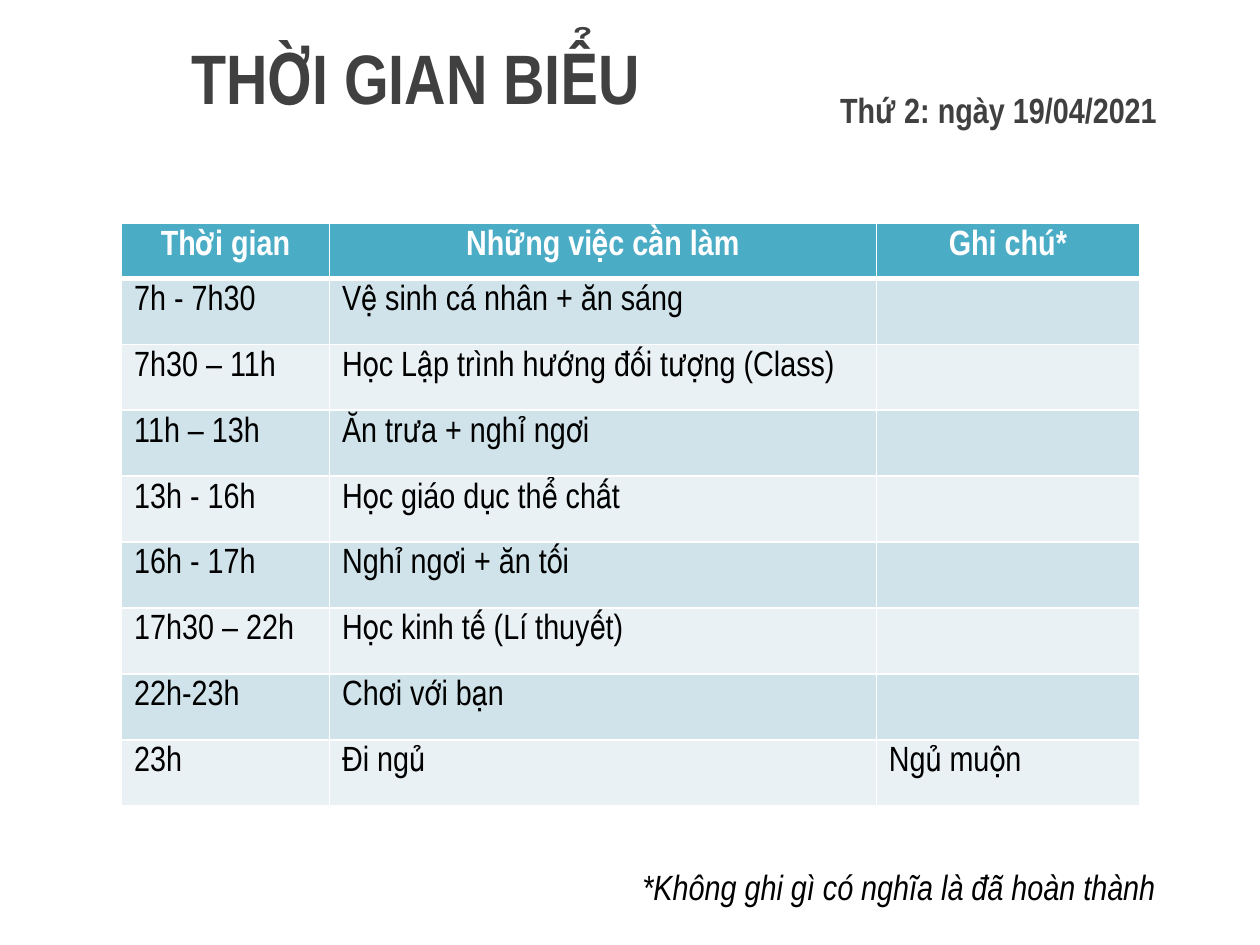
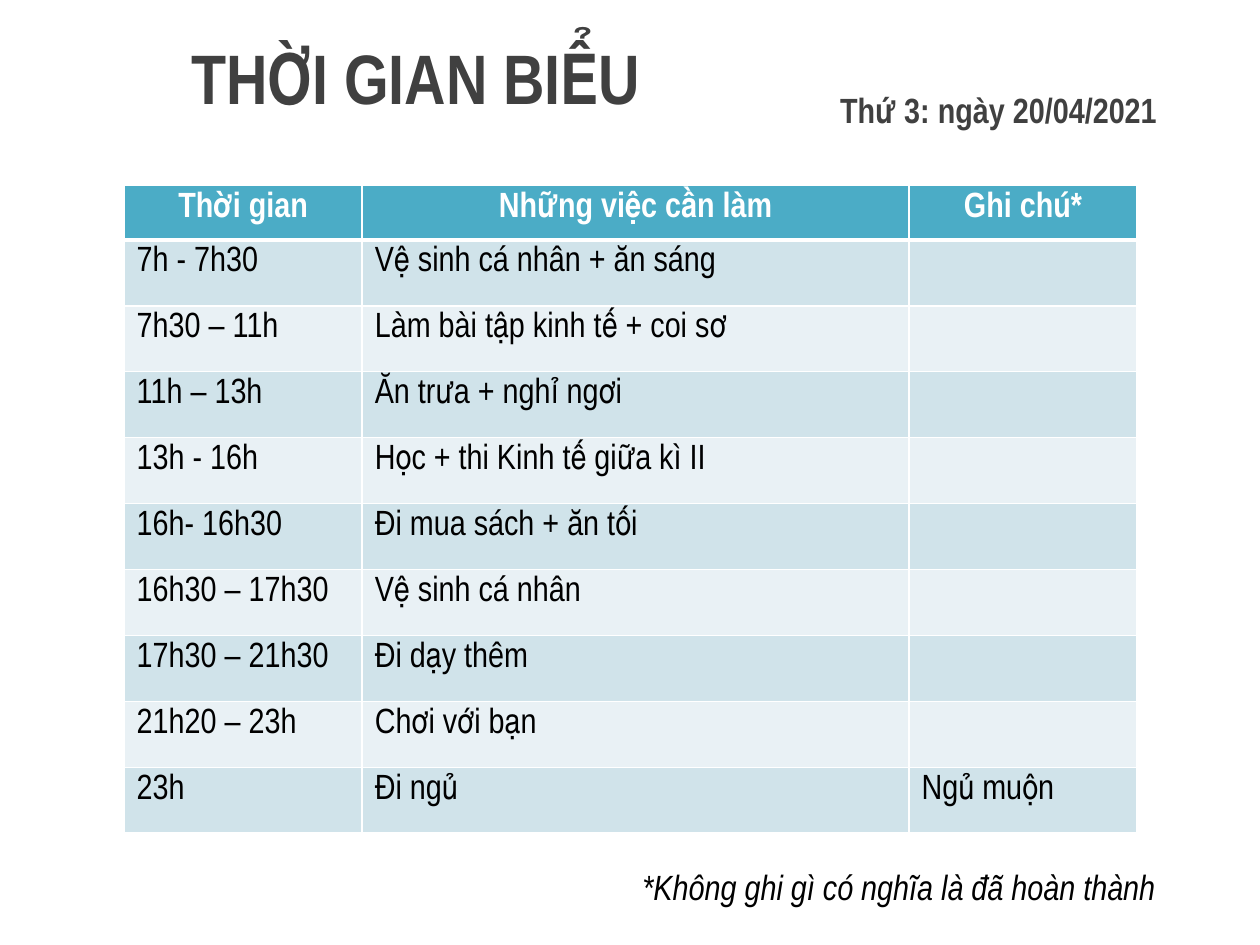
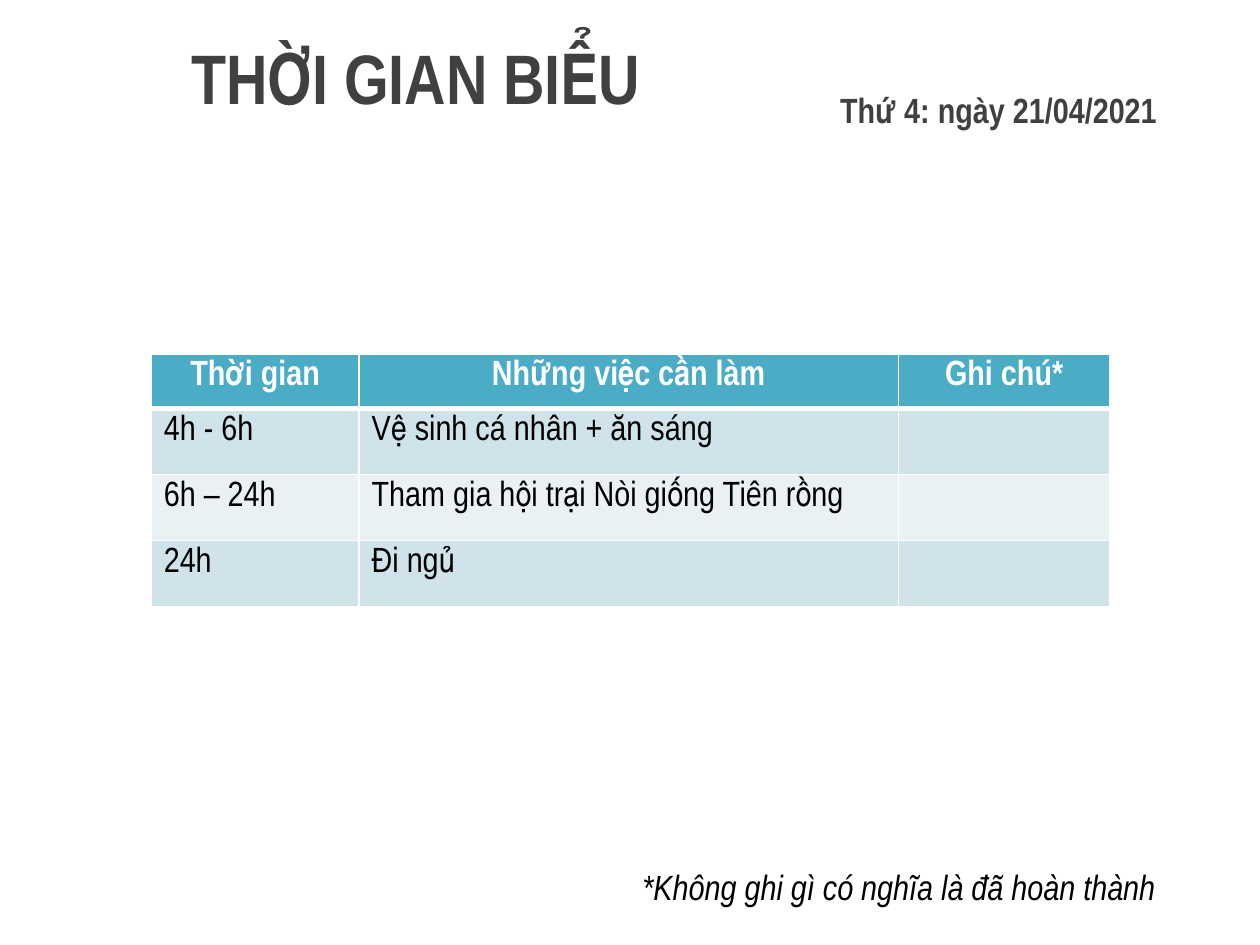
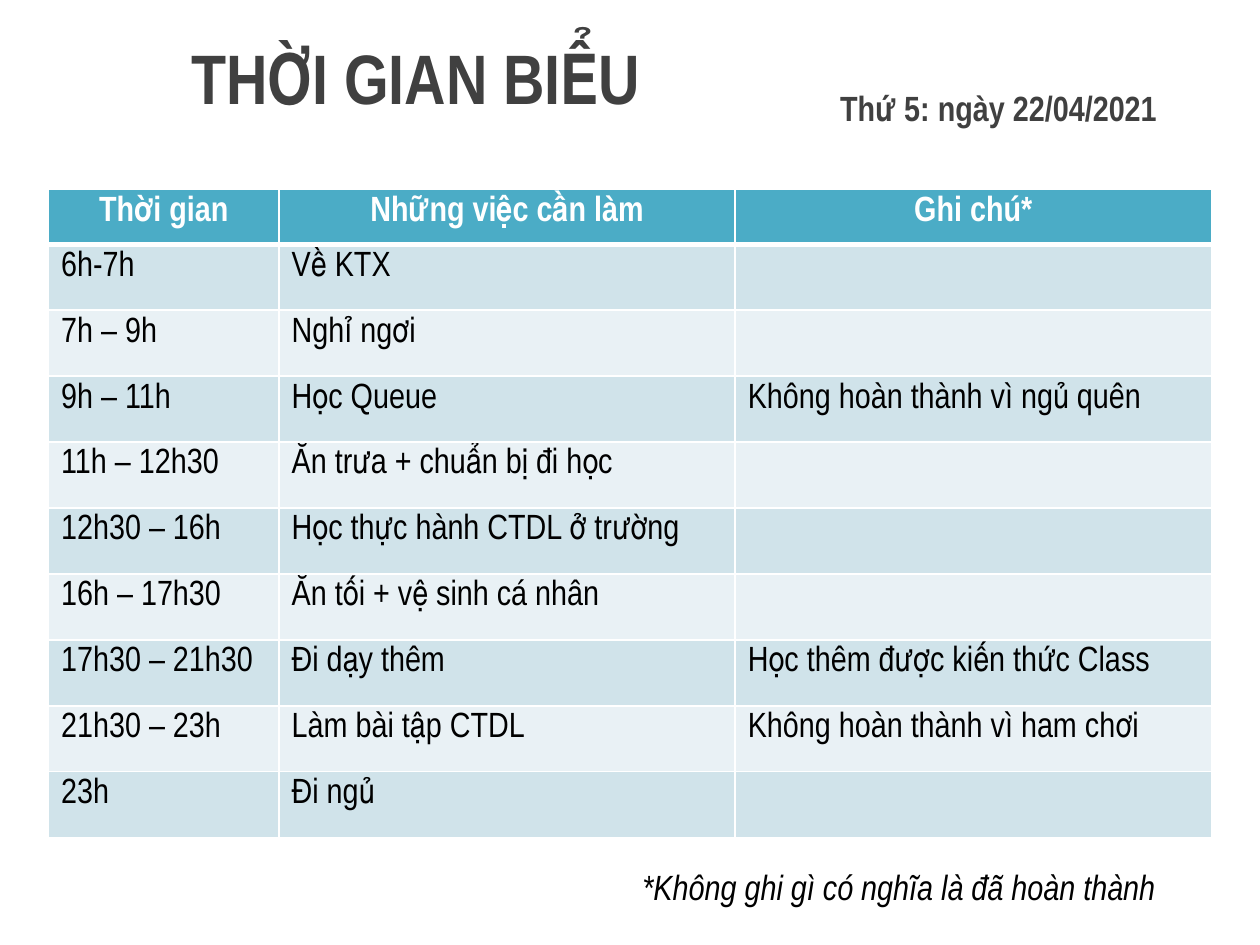
import pptx
import pptx.util
import pptx.dml.color
import pptx.enum.text
import pptx.oxml
import pptx.oxml.ns
import lxml.etree

Pt = pptx.util.Pt
Anchor = pptx.enum.text.MSO_ANCHOR
Align = pptx.enum.text.PP_ALIGN

COLORS = {
    "title": "404040", "text": "000000", "white": "FFFFFF",
    "header": "4BACC6", "band_dark": "D0E3EA", "band_light": "E9F1F5",
}
FONT = "Arial Narrow"
TITLE = "THỜI GIAN BIỂU"
NOTE = "*Không ghi gì có nghĩa là đã hoàn thành"
HEADINGS = ("Thời gian", "Những việc cần làm", "Ghi chú*")
HEADER_PT, ROW_PT = 25.9, 37.7

prs = pptx.Presentation()
prs.slide_width = pptx.util.Inches(10)
prs.slide_height = pptx.util.Inches(7.5)
GRID = prs.slide_width / 100  # the slide is 100 columns by 75 rows

# Each day: date, row of the date, table left and top, column widths, tasks.
DAYS = [
    ("Thứ 2: ngày 19/04/2021", 6.2, (9.65, 17.75), (16.5, 43.4, 20.9), [
        ("7h - 7h30", "Vệ sinh cá nhân + ăn sáng"),
        ("7h30 – 11h", "Học Lập trình hướng đối tượng (Class)"),
        ("11h – 13h", "Ăn trưa + nghỉ ngơi"),
        ("13h - 16h", "Học giáo dục thể chất"),
        ("16h - 17h", "Nghỉ ngơi + ăn tối"),
        ("17h30 – 22h", "Học kinh tế (Lí thuyết)"),
        ("22h-23h", "Chơi với bạn"),
        ("23h", "Đi ngủ", "Ngủ muộn"),
    ]),
    ("Thứ 3: ngày 20/04/2021", 6.2, (9.85, 14.7), (18.9, 43.4, 18.1), [
        ("7h - 7h30", "Vệ sinh cá nhân + ăn sáng"),
        ("7h30 – 11h", "Làm bài tập kinh tế + coi sơ"),
        ("11h – 13h", "Ăn trưa + nghỉ ngơi"),
        ("13h - 16h", "Học + thi Kinh tế giữa kì II"),
        ("16h- 16h30", "Đi mua sách + ăn tối"),
        ("16h30 – 17h30", "Vệ sinh cá nhân"),
        ("17h30 – 21h30", "Đi dạy thêm"),
        ("21h20 – 23h", "Chơi với bạn"),
        ("23h", "Đi ngủ", "Ngủ muộn"),
    ]),
    ("Thứ 4: ngày 21/04/2021", 6.2, (12, 28.1), (16.5, 42.8, 16.8), [
        ("4h - 6h", "Vệ sinh cá nhân + ăn sáng"),
        ("6h – 24h", "Tham gia hội trại Nòi giống Tiên rồng"),
        ("24h", "Đi ngủ"),
    ]),
    ("Thứ 5: ngày 22/04/2021", 6, (3.85, 15.05), (18.3, 36.2, 37.8), [
        ("6h-7h", "Về KTX"),
        ("7h – 9h", "Nghỉ ngơi"),
        ("9h – 11h", "Học Queue", "Không hoàn thành vì ngủ quên"),
        ("11h – 12h30", "Ăn trưa + chuẩn bị đi học"),
        ("12h30 – 16h", "Học thực hành CTDL ở trường"),
        ("16h – 17h30", "Ăn tối + vệ sinh cá nhân"),
        ("17h30 – 21h30", "Đi dạy thêm", "Học thêm được kiến thức Class"),
        ("21h30 – 23h", "Làm bài tập CTDL", "Không hoàn thành vì ham chơi"),
        ("23h", "Đi ngủ"),
    ]),
]


def g(*cells):
    """Turn grid columns or rows into lengths."""
    return [round(c * GRID) for c in cells]


def rgb(name):
    """Look up a named colour."""
    return pptx.dml.color.RGBColor.from_string(COLORS[name])


def style(p, size, color, bold=False, italic=False, align=Align.LEFT):
    """Format a paragraph and its runs."""
    p.alignment = align
    for f in [p.font] + [r.font for r in p.runs]:
        f.name, f.size, f.bold, f.italic = FONT, Pt(size), bold, italic
        f.color.rgb = rgb(color)


def add_title(s, box):
    """Place the shared title in its placeholder."""
    sp = s.shapes.title
    sp.left, sp.top, sp.width, sp.height = g(*box)
    tf = sp.text_frame
    tf.text = TITLE
    tf.vertical_anchor = Anchor.MIDDLE
    tf.margin_left = pptx.util.Inches(0.22)
    style(tf.paragraphs[0], 40, "title", bold=True)


def add_label(s, box, text, color, anchor=Anchor.TOP, before=0, **look):
    """Place one line of 20 pt text."""
    tf = s.shapes.add_textbox(*g(*box)).text_frame
    tf.word_wrap = True
    tf.vertical_anchor = anchor
    tf.text = text
    p = tf.paragraphs[0]
    p.space_before = Pt(before)
    style(p, 20, color, **look)


def set_borders(cell, top, bottom):
    """Draw white cell borders, 1 pt at the sides."""
    tc_pr = cell._tc.get_or_add_tcPr()
    widths = {"lnL": 1, "lnR": 1, "lnT": top, "lnB": bottom}
    for i, (tag, width) in enumerate(widths.items()):
        ln = lxml.etree.Element(pptx.oxml.ns.qn("a:" + tag), w=str(Pt(width)))
        fill = lxml.etree.SubElement(ln, pptx.oxml.ns.qn("a:solidFill"))
        lxml.etree.SubElement(fill, pptx.oxml.ns.qn("a:srgbClr"), val=COLORS["white"])
        tc_pr.insert(i, ln)


def fill_cell(cell, text, row):
    """Write and format a cell by its row: header or band."""
    header = row == 0
    cell.margin_top = cell.margin_bottom = pptx.util.Inches(0.05)
    cell.margin_left = cell.margin_right = pptx.util.Inches(0.1)
    cell.vertical_anchor = Anchor.TOP
    cell.text_frame.text = text
    style(cell.text_frame.paragraphs[0], 20, "white" if header else "text",
          bold=header, align=Align.CENTER if header else Align.LEFT)
    cell.fill.solid()
    band = "band_dark" if row % 2 else "band_light"
    cell.fill.fore_color.rgb = rgb("header" if header else band)
    set_borders(cell, top=3 if row == 1 else 1, bottom=3 if header else 1)


def add_timetable(s, corner, widths, tasks):
    """Build the day's table from its top left corner."""
    rows = [HEADINGS] + tasks
    height = Pt(HEADER_PT + ROW_PT * len(tasks))
    table = s.shapes.add_table(len(rows), len(widths), *g(*corner, sum(widths)),
                               height).table
    for column, width in zip(table.columns, g(*widths)):
        column.width = width
    for i, texts in enumerate(rows):
        table.rows[i].height = Pt(ROW_PT if i else HEADER_PT)
        for j in range(len(widths)):
            fill_cell(table.cell(i, j), texts[j] if j < len(texts) else "", i)


def add_day(date, date_row, corner, widths, tasks):
    """Add the slide of one day."""
    s = prs.slides.add_slide(prs.slide_layouts[5])
    add_title(s, (13, 0.2, 87, 11.7))
    add_label(s, (65.7, date_row, 34.3, 5), date, "title", Anchor.MIDDLE,
              before=4, bold=True)
    add_timetable(s, corner, widths, tasks)
    add_label(s, (50, 68.2, 50, 4.4), NOTE, "text", italic=True)


for day in DAYS:
    add_day(*day)
prs.save("out.pptx")
